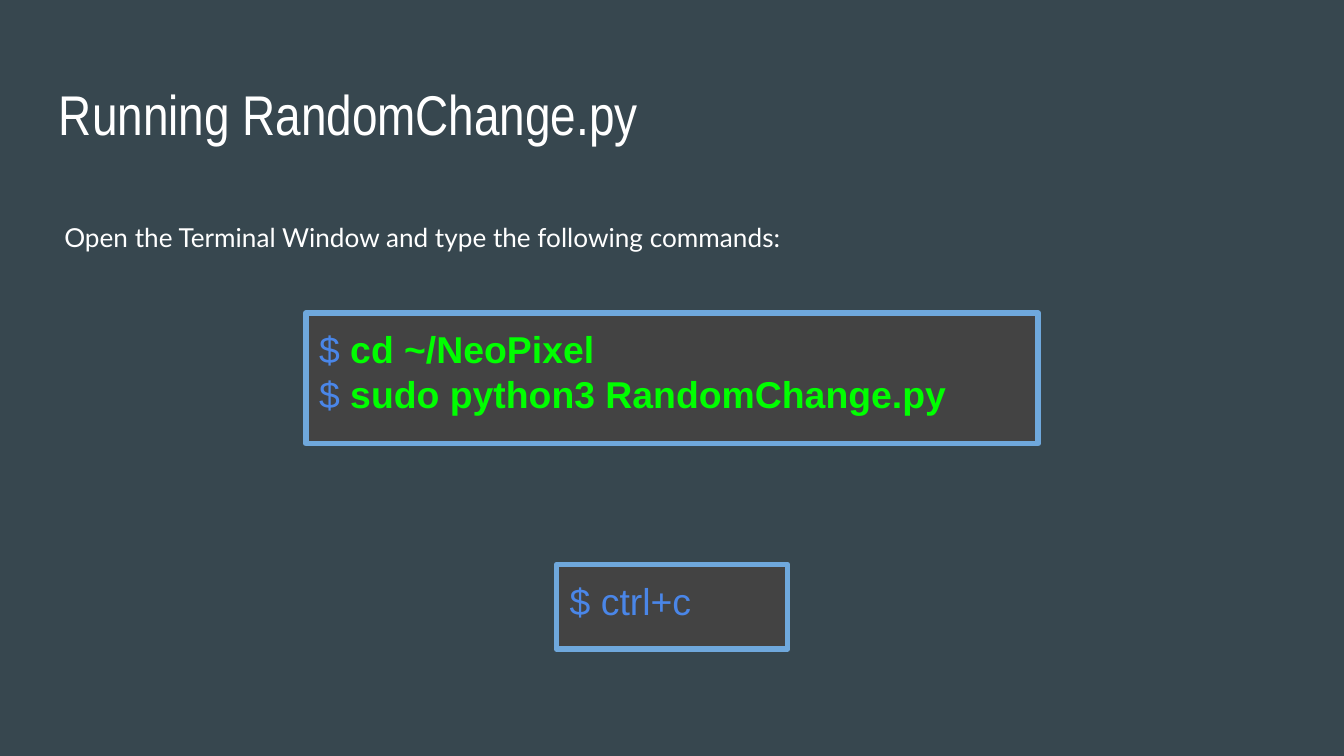
from dataclasses import dataclass

from lxml import etree
from pptx import Presentation
from pptx import util as u
from pptx.dml.color import RGBColor
from pptx.enum import shapes, text
from pptx.oxml.ns import qn

WIDTH = u.Inches(10)
HEIGHT = u.Emu(WIDTH * 9 // 16)
SLATE = RGBColor(0x37, 0x47, 0x4F)
CHARCOAL = RGBColor(0x43, 0x43, 0x43)
SKY = RGBColor(0x6F, 0xA8, 0xDC)
BLUE = RGBColor(0x4A, 0x86, 0xE8)
GREEN = RGBColor(0x00, 0xFF, 0x00)
WHITE = RGBColor(0xFF, 0xFF, 0xFF)


@dataclass(frozen=True)
class Style:
    font: str
    size: float
    color: RGBColor
    bold: bool = False


@dataclass(frozen=True)
class Box:
    """Position and size in inches, with lines made of (text, style) runs."""
    left: float
    top: float
    width: float
    height: float
    lines: tuple

    @property
    def frame(self) -> tuple:
        return tuple(u.Inches(v) for v in (self.left, self.top, self.width, self.height))


TITLE = Style("Arial Narrow", 30, WHITE)
BODY = Style("Lato", 14, WHITE)
PROMPT = Style("Arial", 20, BLUE)
COMMAND = Style("Arial", 20, GREEN, True)


def centred_box(top: float, width: float, height: float, lines: tuple) -> Box:
    return Box((WIDTH.inches - width) / 2, top, width, height, lines)


HEADING = Box(0.34, 0.49, 9.32, 0.63, ((("Running RandomChange.py", TITLE),),))
INSTRUCTION = Box(0.38, 1.55, 9.28, 0.44, (
    (("Open the Terminal Window and type the following commands:", BODY),),
))
TERMINALS = (
    centred_box(2.33, 5.45, 0.97, (
        (("$ ", PROMPT), ("cd ~/NeoPixel", COMMAND)),
        (("$ ", PROMPT), ("sudo python3 RandomChange.py", COMMAND)),
    )),
    centred_box(4.2, 1.72, 0.63, ((("$ ctrl+c", PROMPT),),)),
)


def write(sp, box: Box) -> None:
    tf = sp.text_frame
    margin = u.Inches(0.1)
    layout = dict(word_wrap=True, vertical_anchor=text.MSO_ANCHOR.TOP,
                  margin_left=margin, margin_top=margin,
                  margin_right=margin, margin_bottom=margin)
    for name, value in layout.items():
        setattr(tf, name, value)
    for i, line in enumerate(box.lines):
        p = tf.add_paragraph() if i else tf.paragraphs[0]
        p.alignment = text.PP_ALIGN.LEFT
        for words, style in line:
            r = p.add_run()
            r.text = words
            for name, value in dict(name=style.font, size=u.Pt(style.size),
                                    bold=style.bold).items():
                setattr(r.font, name, value)
            r.font.color.rgb = style.color


def add_label(s, box: Box) -> None:
    write(s.shapes.add_textbox(*box.frame), box)


def add_terminal(s, box: Box) -> None:
    sp = s.shapes.add_shape(shapes.MSO_SHAPE.RECTANGLE, *box.frame)
    sp.shadow.inherit = False
    sp.fill.solid()
    sp.fill.fore_color.rgb = CHARCOAL
    sp.line.color.rgb = SKY
    sp.line.width = u.Pt(3)
    etree.SubElement(sp.element.spPr.find(qn("a:ln")), qn("a:round"))
    write(sp, box)


def main() -> None:
    prs = Presentation()
    prs.slide_width, prs.slide_height = WIDTH, HEIGHT
    s = prs.slides.add_slide(prs.slide_layouts[6])
    s.background.fill.solid()
    s.background.fill.fore_color.rgb = SLATE
    for box in (HEADING, INSTRUCTION):
        add_label(s, box)
    for box in TERMINALS:
        add_terminal(s, box)
    prs.save("out.pptx")


if __name__ == "__main__":
    main()
